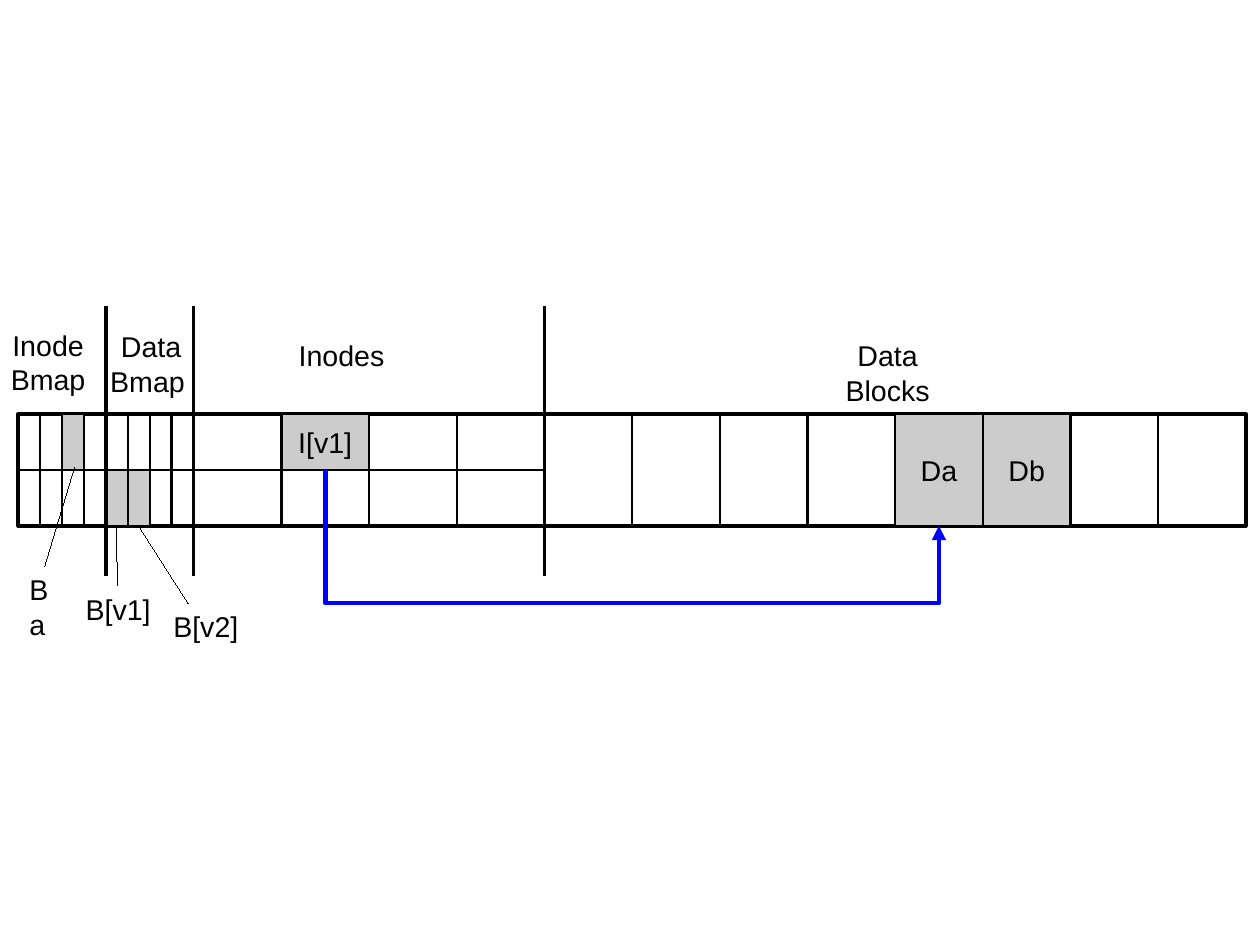
from lxml import etree
from pptx import Presentation
from pptx.dml.color import RGBColor
from pptx.enum.shapes import MSO_CONNECTOR, MSO_SHAPE
from pptx.enum.text import MSO_ANCHOR, PP_ALIGN
from pptx.oxml.ns import qn
from pptx.util import Cm, Inches, Pt

BLACK = RGBColor(0, 0, 0)
GRAY = RGBColor(0xCC, 0xCC, 0xCC)
BLUE = RGBColor(0, 0, 0xFF)
RECTANGLE = MSO_SHAPE.RECTANGLE
STRAIGHT, ELBOW = MSO_CONNECTOR.STRAIGHT, MSO_CONNECTOR.ELBOW
MIDDLE, TOP = MSO_ANCHOR.MIDDLE, MSO_ANCHOR.TOP
CENTER, LEFT = PP_ALIGN.CENTER, PP_ALIGN.LEFT

# The disk strip is a grid of 14 block columns and 2 rows.
COLUMNS, ROWS = 14, 2
DISK_LEFT, DISK_TOP = Inches(0.16), Inches(3.62)
COLUMN, ROW = Inches(10.74) / COLUMNS, Inches(0.49)
DIVIDER_COLUMNS = (1, 2, 6)

# Column, row, width in columns, lines with their alignment
LABELS = [
    (-0.31, -1.63, 1.3, [("Inode", CENTER), ("Bmap", CENTER)]),
    (0.92, -1.61, 1.19, [("Data", CENTER), ("Bmap", LEFT)]),
    (3.07, -1.45, 1.43, [("Inodes", LEFT)]),
    (8.94, -1.45, 1.95, [("Data Blocks", CENTER)]),
    (0.64, 3.08, 1.04, [("B[v1]", LEFT)]),
    (0, 2.73, 0.63, [("Ba", LEFT)]),
    (1.64, 3.39, 1.04, [("B[v2]", LEFT)]),
]
# Start and end, each as column and row
POINTERS = [
    ((1.12, 2.02), (1.13, 3.06)),
    ((0.64, 0.96), (0.3, 2.73)),
    ((1.38, 2.02), (1.94, 3.39)),
]


def grid_point(column, row):
    return round(DISK_LEFT + column * COLUMN), round(DISK_TOP + row * ROW)


def write_lines(text_frame, lines, anchor):
    text_frame.word_wrap = True
    text_frame.vertical_anchor = anchor
    for index, (text, alignment) in enumerate(lines):
        paragraph = text_frame.paragraphs[0] if index == 0 else text_frame.add_paragraph()
        paragraph.alignment = alignment
        run = paragraph.add_run()
        run.text = text
        run.font.name = "Arial"
        run.font.size = Pt(18)
        run.font.color.rgb = BLACK


def add_cell(slide, column, row, width, height, line_width=1.5, shaded=False, text=""):
    shape = slide.shapes.add_shape(
        RECTANGLE, *grid_point(column, row), round(width * COLUMN), round(height * ROW))
    shape.shadow.inherit = False
    shape.line.color.rgb = BLACK
    shape.line.width = Pt(line_width)
    if shaded:
        shape.fill.solid()
        shape.fill.fore_color.rgb = GRAY
    else:
        shape.fill.background()
    if text:
        write_lines(shape.text_frame, [(text, CENTER)], MIDDLE)


def add_cells(slide, count, width, height, shaded_cells):
    """Tile the strip from its left; shaded_cells maps (index, row) to a label."""
    for row in range(ROWS // height):
        for index in range(count):
            add_cell(slide, index * width, row, width, height,
                     shaded=(index, row) in shaded_cells,
                     text=shaded_cells.get((index, row), ""))


def add_label(slide, column, row, width, lines):
    height = Inches(0.1 + 0.28 * len(lines))
    box = slide.shapes.add_textbox(*grid_point(column, row), round(width * COLUMN), height)
    write_lines(box.text_frame, lines, TOP)


def add_line(slide, kind, start, end, width, color=BLACK):
    connector = slide.shapes.add_connector(kind, *start, *end)
    connector.line.color.rgb = color
    properties = connector._element.spPr
    # A hairline needs its zero width written out.
    properties.find(qn("a:ln")).set("w", str(Pt(width)))
    etree.SubElement(properties, qn("a:effectLst"))
    return connector


def add_block_arrow(slide, start, end, drop):
    """Elbow arrow going down by drop times its height, across and up to end."""
    start_x, start_y = grid_point(*start)
    end_x, end_y = grid_point(*end)
    center_x, center_y = (start_x + end_x) // 2, (start_y + end_y) // 2
    half_width, half_height = (end_x - start_x) // 2, (end_y - start_y) // 2
    # The elbow leaves sideways, so lay it out on its side and turn it by 270 degrees.
    arrow = add_line(slide, ELBOW,
                     (center_x + half_height, center_y - half_width),
                     (center_x - half_height, center_y + half_width), 3, BLUE)
    properties = arrow._element.spPr
    properties.find(qn("a:xfrm")).set("rot", str(270 * 60000))
    adjustments = properties.find(qn("a:prstGeom")).find(qn("a:avLst"))
    etree.SubElement(adjustments, qn("a:gd"), name="adj1", fmla=f"val {round(drop * 100000)}")
    etree.SubElement(properties.find(qn("a:ln")), qn("a:tailEnd"), type="triangle")


def main():
    presentation = Presentation()
    presentation.slide_width, presentation.slide_height = Cm(28), Cm(21)
    slide = presentation.slides.add_slide(presentation.slide_layouts[6])

    add_cell(slide, 0, 0, COLUMNS, ROWS, line_width=2.3)
    add_cells(slide, COLUMNS, 1, 2, {(10, 0): "Da", (11, 0): "Db"})
    add_cells(slide, 6, 1, 1, {(3, 0): "I[v1]"})
    add_cells(slide, 8, 0.25, 1, {(2, 0): "", (4, 1): "", (5, 1): ""})

    for column in DIVIDER_COLUMNS:
        add_line(slide, STRAIGHT, grid_point(column, -1.92), grid_point(column, 2.9), 2.3)
    for label in LABELS:
        add_label(slide, *label)
    for start, end in POINTERS:
        add_line(slide, STRAIGHT, grid_point(*start), grid_point(*end), 0)
    add_block_arrow(slide, (3.5, 1), (10.5, 2), 2.38)

    presentation.save("out.pptx")


if __name__ == "__main__":
    main()
